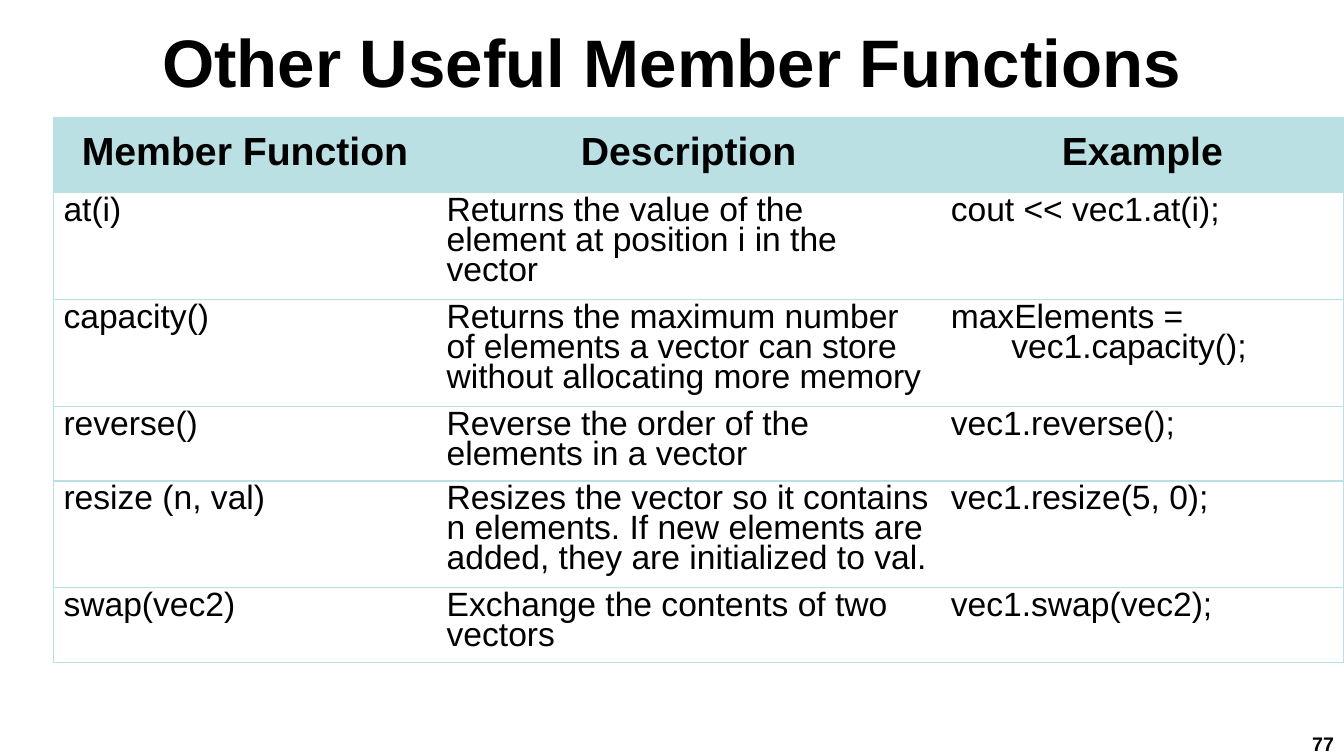
from lxml import etree
from pptx import Presentation
from pptx.dml.color import RGBColor
from pptx.enum.text import MSO_ANCHOR, PP_ALIGN
from pptx.oxml.ns import qn
from pptx.util import Inches, Pt

LEFT, CENTER, RIGHT = PP_ALIGN.LEFT, PP_ALIGN.CENTER, PP_ALIGN.RIGHT
TOP, MIDDLE = MSO_ANCHOR.TOP, MSO_ANCHOR.MIDDLE

# Content
TITLE = "Other Useful Member Functions"
PAGE_NUMBER = "77"
HEADER = ("Member Function", "Description", "Example")
FUNCTIONS = [
    ("at(i)",
     "Returns the value of the element at position i in the vector",
     "cout << vec1.at(i);"),
    ("capacity()",
     "Returns the maximum number of elements a vector can store "
     "without allocating more memory",
     "maxElements =\nvec1.capacity();"),
    ("reverse()",
     "Reverse the order of the elements in a vector",
     "vec1.reverse();"),
    ("resize (n, val)",
     "Resizes the vector so it contains n elements. "
     "If new elements are added, they are initialized to val.",
     "vec1.resize(5, 0);"),
    ("swap(vec2)",
     "Exchange the contents of two vectors",
     "vec1.swap(vec2);"),
]

# Style and layout, in inches
COLORS = {"text": "000000", "header": "BBE0E3", "body": "FFFFFF", "border": "BBE0E3"}
FONT = "Arial"
COLUMN_WIDTHS = (3.8, 5, 4)
ROW_HEIGHTS = (0.74, 0.99, 0.99, 0.74, 0.99, 0.74)
CONTINUATION_INDENT = 0.6


def write(frame, text, size, bold, align, spacing=1.0):
    for index, line in enumerate(text.split("\n")):
        paragraph = frame.add_paragraph() if index else frame.paragraphs[0]
        paragraph.alignment = align
        paragraph.line_spacing = spacing
        if index:
            properties = paragraph._p.get_or_add_pPr()
            properties.set("marL", str(Inches(CONTINUATION_INDENT)))
            properties.set("indent", "0")
        run = paragraph.add_run()
        run.text = line
        run.font.name = FONT
        run.font.size = Pt(size)
        run.font.bold = bold
        run.font.color.rgb = RGBColor.from_string(COLORS["text"])


def add_label(slide, box, text, size, align):
    frame = slide.shapes.add_textbox(*map(Inches, box)).text_frame
    frame.word_wrap = True
    frame.vertical_anchor = MIDDLE
    write(frame, text, size, True, align)


def set_borders(cell, visible):
    properties = cell._tc.get_or_add_tcPr()
    for position, side in enumerate("LRTB"):
        line = etree.Element(qn(f"a:ln{side}"), w=str(Pt(1)))
        if side in visible:
            fill = etree.SubElement(line, qn("a:solidFill"))
            etree.SubElement(fill, qn("a:srgbClr"), val=COLORS["border"])
        else:
            etree.SubElement(line, qn("a:noFill"))
        properties.insert(position, line)


def add_function_table(slide):
    rows = [HEADER] + FUNCTIONS
    table = slide.shapes.add_table(
        len(rows), len(HEADER), Inches(0.53), Inches(1.17),
        Inches(sum(COLUMN_WIDTHS)), Inches(sum(ROW_HEIGHTS))).table
    for column, width in zip(table.columns, COLUMN_WIDTHS):
        column.width = Inches(width)
    outer_sides = ("LTB", "TB", "RTB")
    for r, texts in enumerate(rows):
        table.rows[r].height = Inches(ROW_HEIGHTS[r])
        is_header = r == 0
        for c, text in enumerate(texts):
            cell = table.cell(r, c)
            cell.fill.solid()
            cell.fill.fore_color.rgb = RGBColor.from_string(
                COLORS["header" if is_header else "body"])
            cell.vertical_anchor = MIDDLE if is_header else TOP
            write(cell.text_frame, text, 28 if is_header else 24, is_header,
                  CENTER if is_header else LEFT, 0.8)
            set_borders(cell, outer_sides[c])


def main():
    deck = Presentation()
    deck.slide_width, deck.slide_height = Inches(13.33), Inches(7.5)
    slide = deck.slides.add_slide(deck.slide_layouts[6])

    # Title, table, page number
    add_label(slide, (0, 0, 13.33, 1.2), TITLE, 48, CENTER)
    add_function_table(slide)
    add_label(slide, (12.73, 7.25, 0.6, 0.25), PAGE_NUMBER, 14, RIGHT)

    deck.save("out.pptx")


if __name__ == "__main__":
    main()
